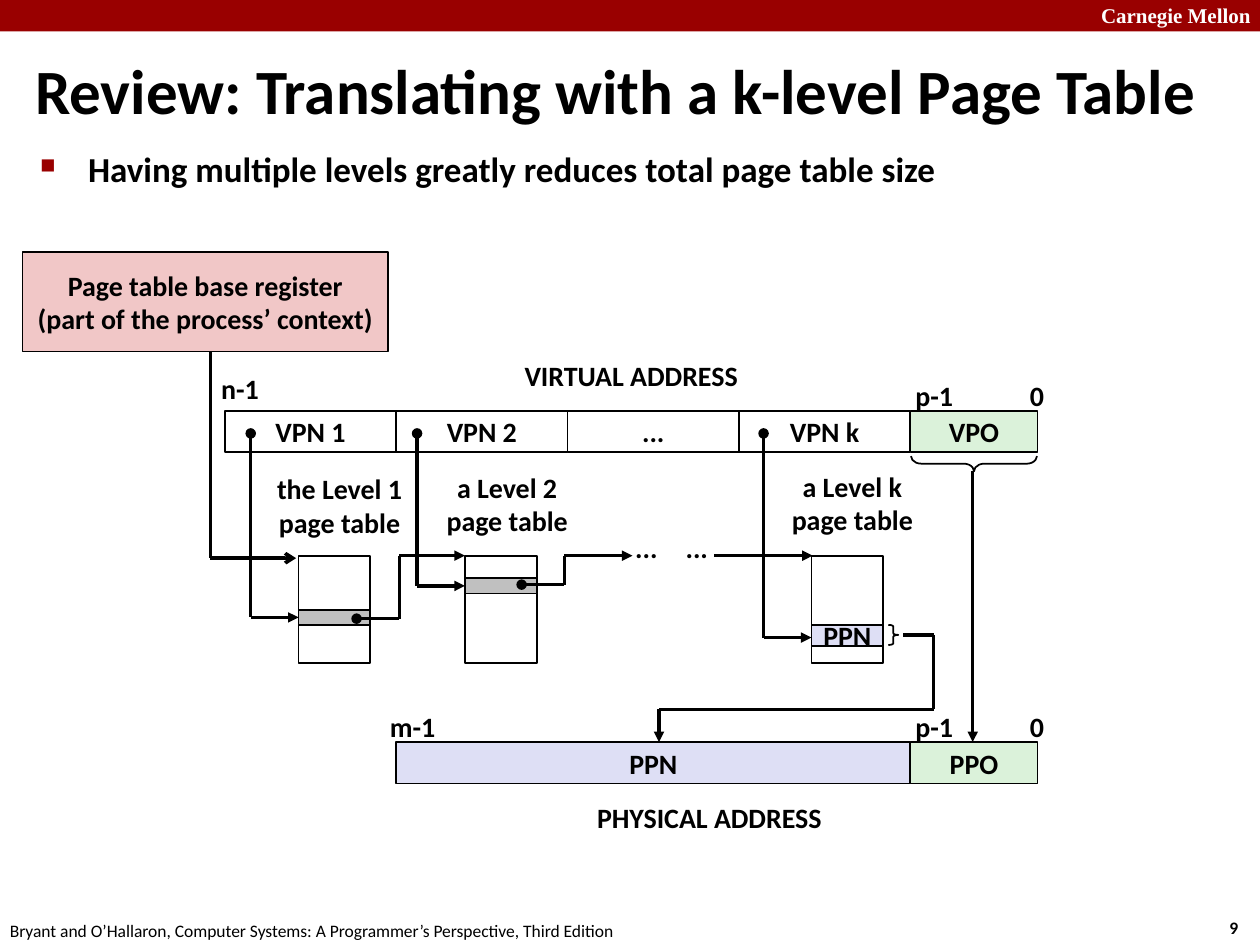
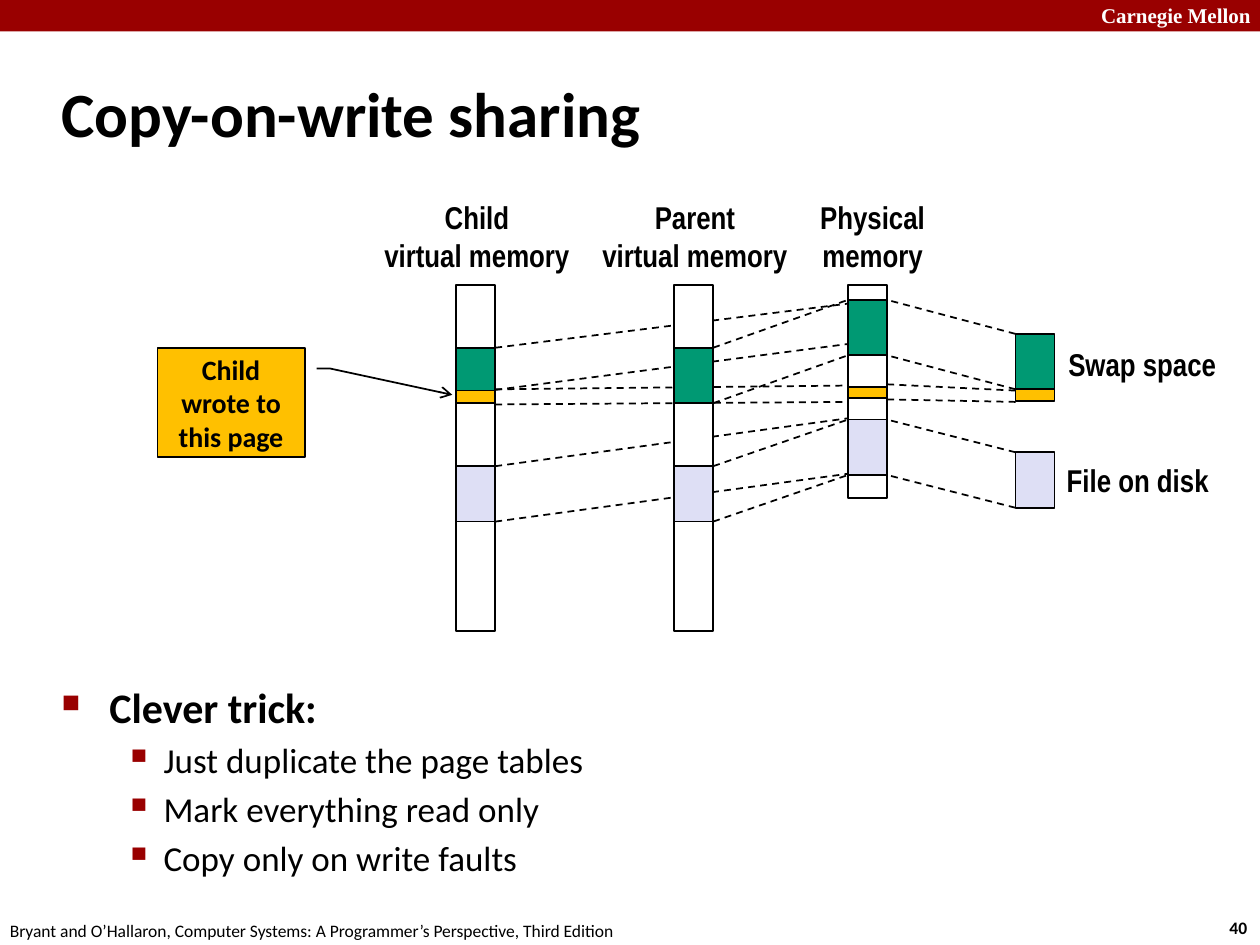
from typing import NamedTuple

from lxml.etree import SubElement
from pptx import Presentation
from pptx.dml.color import RGBColor
from pptx.enum.dml import MSO_LINE
from pptx.enum.shapes import MSO_CONNECTOR, MSO_SHAPE
from pptx.enum.text import MSO_ANCHOR, PP_ALIGN
from pptx.oxml.ns import qn
from pptx.util import Inches, Pt

# Slide grid: 100 columns by 75 rows
WIDTH, HEIGHT = Inches(10), Inches(7.5)
COL, ROW = WIDTH / 100, HEIGHT / 75

RED, PINK, GREEN, LILAC = "990000", "F1C7C7", "DBF2DA", "DEDFF5"
GRAY, TEAL, GOLD, BLACK, WHITE = "C0C0C0", "009973", "FFC000", "000000", "FFFFFF"
FOOTER = "Bryant and O’Hallaron, Computer Systems: A Programmer’s Perspective, Third Edition"


class Font(NamedTuple):
    size: int
    name: str = "Calibri"
    bold: bool = True
    color: str = BLACK


TITLE, LABEL, MEMO = Font(36), Font(16), Font(18, "Arial Narrow")
POINT, HEAD, DETAIL = Font(20), Font(24), Font(20, bold=False)
BRAND, PAGE, SOURCE = Font(12, "Times New Roman", color=WHITE), Font(10), Font(10, bold=False)


class Area(NamedTuple):
    x: float
    y: float
    w: float
    h: float


class Bullet(NamedTuple):
    text: str
    font: Font
    mark: str
    scale: int
    left: float
    hang: float
    before: int = 0


class Level(NamedTuple):
    title: str
    label: Area
    x: float
    entry: float
    tall: float
    fill: str
    text: str = ""


class Block(NamedTuple):
    x: float
    y: float
    h: float
    fill: str


# Drawing helpers
def paint(code: str) -> RGBColor:
    return RGBColor.from_string(code)


def place(area: Area) -> list[int]:
    return [round(v * unit) for v, unit in zip(area, (COL, ROW, COL, ROW))]


def style(para, font: Font) -> None:
    for run in para.runs:
        run.font.size, run.font.name, run.font.bold = Pt(font.size), font.name, font.bold
        run.font.color.rgb = paint(font.color)


def write(shape, text: str, font: Font, align=PP_ALIGN.CENTER,
          anchor=MSO_ANCHOR.MIDDLE, wrap: bool = False) -> None:
    frame = shape.text_frame
    frame.text, frame.word_wrap, frame.vertical_anchor = text, wrap, anchor
    for para in frame.paragraphs:
        para.alignment = align
        style(para, font)


def label(slide, area: Area, text: str, font: Font = LABEL, **how) -> None:
    write(slide.shapes.add_textbox(*place(area)), text, font, **how)


def box(slide, area: Area, fill: str = "", text: str = "", kind=MSO_SHAPE.RECTANGLE,
        edge: bool = True, wrap: bool = False):
    shape = slide.shapes.add_shape(kind, *place(area))
    shape.shadow.inherit = False
    if fill:
        shape.fill.solid()
        shape.fill.fore_color.rgb = paint(fill)
    else:
        shape.fill.background()
    if edge:
        shape.line.color.rgb, shape.line.width = paint(BLACK), Pt(1)
    else:
        shape.line.fill.background()
    if text:
        write(shape, text, LABEL, wrap=wrap)
    return shape


def cap(shape, end: str, kind: str) -> None:
    SubElement(shape.element.spPr.find(qn("a:ln")), qn(f"a:{end}End"), type=kind)


def route(slide, *stops: tuple[float, float], head: str = "", tail: str = "",
          dash: bool = False) -> None:
    """Join the stops with straight lines; head and tail are end marks."""
    last = len(stops) - 2
    for i, (start, stop) in enumerate(zip(stops, stops[1:])):
        ends = [round(v * u) for v, u in zip(start + stop, (COL, ROW, COL, ROW))]
        line = slide.shapes.add_connector(MSO_CONNECTOR.STRAIGHT, *ends)
        line.line.color.rgb, line.line.width = paint(BLACK), Pt(1 if dash else 2)
        if dash:
            line.line.dash_style = MSO_LINE.DASH
        if head and i == 0:
            cap(line, "head", head)
        if tail and i == last:
            cap(line, "tail", tail)
        SubElement(line.element.spPr, qn("a:effectLst"))


def brace(slide, area: Area, bend: float, turn: int = 0) -> None:
    shape = box(slide, area, kind=MSO_SHAPE.RIGHT_BRACE)
    shape.adjustments[0], shape.rotation = bend, turn


def outline(slide, area: Area, items: list[Bullet], pitch: float = 1) -> None:
    frame = slide.shapes.add_textbox(*place(area)).text_frame
    frame.word_wrap = True
    frame.text = "\n".join(item.text for item in items)
    for para, item in zip(frame.paragraphs, items):
        para.line_spacing, para.space_before = pitch, Pt(item.before)
        props = para._p.get_or_add_pPr()
        props.set("marL", str(round(item.left * COL)))
        props.set("indent", str(round(-item.hang * COL)))
        SubElement(SubElement(props, qn("a:buClr")), qn("a:srgbClr"), val=RED)
        SubElement(props, qn("a:buSzPct"), val=str(item.scale * 1000))
        SubElement(props, qn("a:buChar"), char=item.mark)
        style(para, item.font)


def start(deck, title: str, area: Area, page: int):
    """Add a slide with the band, footer, page number and title."""
    slide = deck.slides.add_slide(deck.slide_layouts[6])
    box(slide, Area(0, 0, 100, 2.5), RED, edge=False)
    flush = {"align": PP_ALIGN.LEFT, "anchor": MSO_ANCHOR.TOP}
    label(slide, Area(86.4, -0.3, 14.3, 3), "Carnegie Mellon", BRAND, **flush)
    label(slide, Area(96.6, 72.3, 3.7, 2.7), str(page), PAGE, **flush)
    label(slide, Area(-0.2, 72.5, 50.8, 2.7), FOOTER, SOURCE, **flush)
    label(slide, area, title, TITLE, align=PP_ALIGN.LEFT, wrap=True)
    return slide


# Slide: translating an address
def levels(deck) -> None:
    slide = start(deck, "Review: Translating with a k-level Page Table",
                  Area(1.8, 2.8, 95.6, 8.6), 9)
    outline(slide, Area(2.2, 11.8, 95.8, 9.2), [
        Bullet("Having multiple levels greatly reduces total page table size",
               POINT, "■", 60, 3.8, 3.8)], 0.83)
    box(slide, Area(1.8, 20, 29, 7.9), PINK,
        "Page table base register\n(part of the process’ context)", wrap=True)

    # Address bars
    left, step, tall, top, low = 17.85, 13.6, 3.3, 32.6, 58.9
    split = left + 4 * step
    for i, name in enumerate(("VPN 1", "VPN 2", "...", "VPN k")):
        box(slide, Area(left + i * step, top, step, tall), text=name)
    box(slide, Area(left + step, low, 3 * step, tall), LILAC, "PPN")
    for y, name in ((top, "VPO"), (low, "PPO")):
        box(slide, Area(split, y, 10.1, tall), GREEN, name)
        label(slide, Area(71.6, y - 3.1, 5.1, 3.7), "p-1")
        label(slide, Area(80.7, y - 3.1, 3.2, 3.7), "0")
    label(slide, Area(16.5, 29, 5.1, 3.7), "n-1")
    label(slide, Area(29.9, 55.8, 5.7, 3.7), "m-1")
    label(slide, Area(40.4, 27.9, 19.4, 3.7), "VIRTUAL ADDRESS")
    label(slide, Area(45.9, 63, 20.8, 3.7), "PHYSICAL ADDRESS")

    # Page tables, each with the entry its VPN selects
    roof, wide = 44.1, 5.7
    for item in (
        Level("the Level 1", Area(20.9, 36.9, 12.1, 6.4), 23.7, 48.4, 1.2, GRAY),
        Level("a Level 2", Area(34.4, 36.8, 11.7, 6.4), 36.9, 45.9, 1.2, GRAY),
        Level("a Level k", Area(61.8, 36.7, 11.7, 6.4), 64.4, 49.6, 1.7, LILAC, "PPN"),
    ):
        label(slide, item.label, f"{item.title}\npage table")
        box(slide, Area(item.x, roof, wide, 8.5))
        box(slide, Area(item.x, item.entry, wide, item.tall), item.fill, item.text)
        mid = item.entry + (1 if item.text else item.tall / 2)
        bend = item.x - 3.8
        route(slide, (bend, 34.4), (bend, mid), (item.x, mid), head="oval", tail="triangle")

    # Links from table to table
    for x, y, bend, stop in ((28.3, 49.1, 31.7, 36.9), (41.4, 46.4, 44.8, 50.2)):
        route(slide, (x, y), (bend, y), (bend, roof), (stop, roof),
              head="oval", tail="triangle")
    route(slide, (56.7, roof), (64.5, roof), tail="triangle")
    for x in (49.4, 53.4):
        label(slide, Area(x, 41.6, 3.8, 3.7), "...")
    route(slide, (16.7, 27.9), (16.7, 44.3), (23.5, 44.3), tail="arrow")

    # Links to the physical address
    brace(slide, Area(76.7, 31.8, 1.2, 10), 0.68, 90)
    brace(slide, Area(70.5, 49.6, 0.8, 1.6), 0.16)
    route(slide, (77.2, 37.4), (77.2, low), tail="triangle")
    route(slide, (71.7, 50.4), (74.1, 50.4), (74.1, 56.3), (52.3, 56.3), (52.3, low),
          tail="triangle")


# Slide: sharing pages between processes
def sharing(deck) -> None:
    slide = start(deck, "Copy-on-write sharing", Area(3.9, 4.8, 83, 8.3), 40)
    child, parent, real, disk, wide = 36.2, 53.5, 67.3, 80.6, 3.1

    # Child mappings pass behind the parent column
    for y, stop in ((27.6, 24.1), (30.95, 27.3), (30.9, 30.6),
                    (32.1, 31.9), (37, 33.2), (41.4, 37.6)):
        route(slide, (child + wide, y), (real, stop), dash=True)

    # Memory columns
    for x, tall, mid, name in ((child, 27.5, 37.85, "Child\nvirtual memory"),
                               (parent, 27.5, 55.15, "Parent\nvirtual memory"),
                               (real, 16.9, 69.25, "Physical\nmemory")):
        box(slide, Area(x, 22.6, wide, tall), WHITE)
        label(slide, Area(mid - 8.45, 15.2, 16.9, 7.1), name, MEMO)
    label(slide, Area(83.7, 26.9, 13.9, 4), "Swap space", MEMO)
    label(slide, Area(83.6, 36.1, 13.4, 4), "File on disk", MEMO)

    # Pages
    full, thin = 4.4, 0.9
    for page in (
        Block(child, 27.6, 3.4, TEAL), Block(parent, 27.6, full, TEAL),
        Block(real, 23.8, full, TEAL), Block(disk, 26.5, full, TEAL),
        Block(child, 37, full, LILAC), Block(parent, 37, full, LILAC),
        Block(real, 33.3, full, LILAC), Block(disk, 35.9, full, LILAC),
        Block(child, 31, 1, GOLD), Block(real, 30.7, thin, GOLD),
        Block(disk, 30.9, thin, GOLD),
    ):
        box(slide, Area(page.x, page.y, wide, page.h), page.fill)

    # Parent and disk mappings: both edges of each page
    for near, page, far in ((27.6, 23.8, 26.5), (37, 33.3, 35.9)):
        for edge in (0, full):
            route(slide, (parent + wide, near + edge), (real, page + edge), dash=True)
            route(slide, (disk, far + edge), (real + wide, page + edge), dash=True)
    for far, page in ((31, 30.5), (31.9, 31.7)):
        route(slide, (disk, far), (real + wide, page), dash=True)

    # Callout, mirrored so that its leader runs to the right
    note = box(slide, Area(12.5, 27.6, 11.7, 8.7), GOLD, "Child wrote to this page",
               MSO_SHAPE.LINE_CALLOUT_2, wrap=True)
    for i, value in enumerate((0.19, -0.08, 0.19, -0.17, 0.43, -1)):
        note.adjustments[i] = value
    note.element.spPr.find(qn("a:xfrm")).set("flipH", "1")
    cap(note, "tail", "arrow")

    steps = ("Just duplicate the page tables", "Mark everything read only",
             "Copy only on write faults")
    outline(slide, Area(3.9, 53.6, 44, 17.1), [
        Bullet("Clever trick:", HEAD, "■", 60, 3.8, 3.8),
        *(Bullet(step, DETAIL, "▪", 110, 8.1, 3.1, 4) for step in steps)])


def main() -> None:
    deck = Presentation()
    deck.slide_width, deck.slide_height = WIDTH, HEIGHT
    levels(deck)
    sharing(deck)
    deck.save("out.pptx")


if __name__ == "__main__":
    main()
